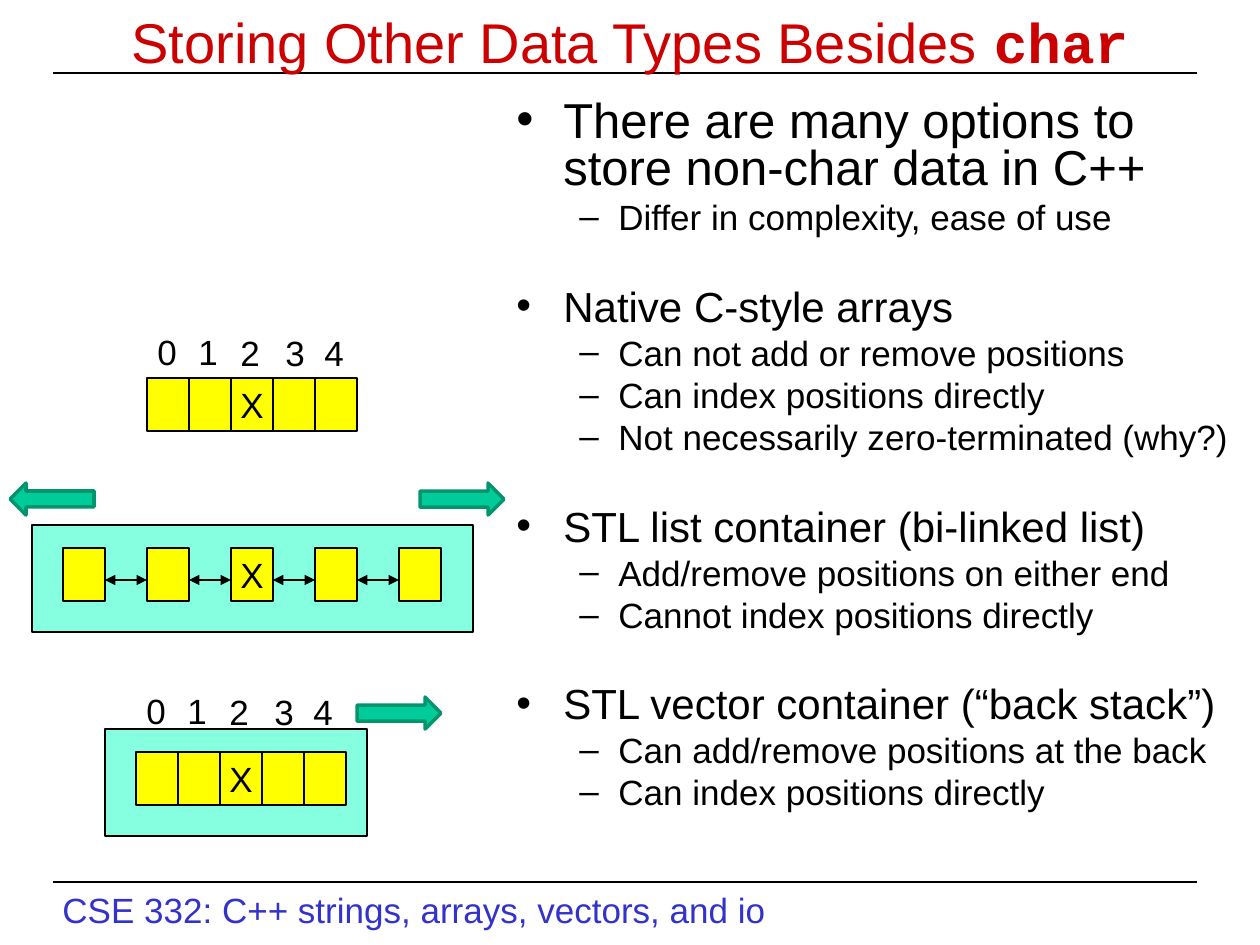
from lxml import etree
from pptx import Presentation
from pptx.dml.color import RGBColor
from pptx.enum.shapes import MSO_CONNECTOR, MSO_SHAPE
from pptx.enum.text import MSO_ANCHOR, MSO_AUTO_SIZE, PP_ALIGN
from pptx.oxml.ns import qn
from pptx.util import Pt

SCALE = 914400 / 126
WIDE, HIGH = 1260, 945
BLACK = RGBColor(0x00, 0x00, 0x00)
RED = RGBColor(0xCC, 0x00, 0x00)
BLUE = RGBColor(0x33, 0x33, 0xCC)
YELLOW = RGBColor(0xFF, 0xFF, 0x00)
MINT = RGBColor(0x85, 0xFF, 0xE0)
GREEN = RGBColor(0x00, 0xCC, 0x99)
DARK = RGBColor(0x00, 0x95, 0x6F)
RECT, ARROW = MSO_SHAPE.RECTANGLE, MSO_SHAPE.LEFT_ARROW
STRAIGHT = MSO_CONNECTOR.STRAIGHT
LEFT, CENTER = PP_ALIGN.LEFT, PP_ALIGN.CENTER
TOP, MIDDLE = MSO_ANCHOR.TOP, MSO_ANCHOR.MIDDLE
GROW = MSO_AUTO_SIZE.SHAPE_TO_FIT_TEXT

CELL_W, CELL_H = 42, 53
SHIFTS = [(-2, 0), (39, 0), (81, 1), (126, 1), (165, 1)]

# Heading, its size, space before it, and the points below it
TOPICS = [
    ("There are many options to store non-char data in C++", 28, 7,
     ["Differ in complexity, ease of use"]),
    ("Native C-style arrays", 24, 30,
     ["Can not add or remove positions", "Can index positions directly",
      "Not necessarily zero-terminated (why?)"]),
    ("STL list container (bi-linked list)", 24, 30,
     ["Add/remove positions on either end",
      "Cannot index positions directly"]),
    ("STL vector container (“back stack”)", 24, 30,
     ["Can add/remove positions at the back",
      "Can index positions directly"]),
]


def px(*nums):
    return [round(n * SCALE) for n in nums]


class Page:
    """Holds the style and the slide being drawn."""

    font, mono, size = "Arial", "Courier New", 20

    def __init__(self, slide):
        self.slide = slide
        self.shapes = slide.shapes

    def run(self, para, text, size=None, color=BLACK, font=None, bold=None):
        run = para.add_run()
        run.text = text
        run.font.size = Pt(size or self.size)
        run.font.name = font or self.font
        run.font.color.rgb = color
        run.font.bold = bold

    def text(self, x, y, w, h, runs=(), align=LEFT, anchor=TOP, wrap=False):
        """Each run is a tuple of arguments for run()."""
        frame = self.shapes.add_textbox(*px(x, y, w, h)).text_frame
        frame.word_wrap = wrap
        frame.vertical_anchor = anchor
        if not wrap:
            frame.auto_size = GROW
        para = frame.paragraphs[0]
        para.alignment = align
        for args in runs:
            self.run(para, *args)
        return frame

    def shape(self, kind, x, y, w, h, fill, edge=BLACK, width=0.75):
        shape = self.shapes.add_shape(kind, *px(x, y, w, h))
        shape.shadow.inherit = False
        shape.fill.solid()
        shape.fill.fore_color.rgb = fill
        shape.line.color.rgb = edge
        shape.line.width = Pt(width)
        return shape

    def line(self, x1, x2, y, heads=False):
        line = self.shapes.add_connector(STRAIGHT, *px(x1, y, x2, y))
        line.line.color.rgb = BLACK
        line.line.width = Pt(0.75)
        props = line.element.spPr
        if heads:
            edge = props.get_or_add_ln()
            for end in ("a:headEnd", "a:tailEnd"):
                etree.SubElement(edge, qn(end), type="triangle")
        etree.SubElement(props, qn("a:effectLst"))

    def arrow(self, x, y, turn=180):
        shape = self.shape(ARROW, x, y, 84, 32, GREEN, DARK, 2)
        shape.rotation = turn

    def cells(self, x, y, step=CELL_W):
        """Five cells, the middle one marked."""
        for i in range(5):
            cell = self.shape(RECT, x + i * step, y, CELL_W, CELL_H, YELLOW)
            if i == 2:
                frame = cell.text_frame
                frame.word_wrap = False
                frame.vertical_anchor = MIDDLE
                para = frame.paragraphs[0]
                para.alignment = CENTER
                self.run(para, "X")

    def digits(self, x, y):
        for i, (dx, dy) in enumerate(SHIFTS):
            self.text(x + dx, y + dy, 44, 55, [(str(i),)])

    def bullet(self, para, text, size, before, mark, left, hang):
        para.line_spacing = 0.8
        para.space_before = Pt(before)
        props = para._p.get_or_add_pPr()
        props.set("marL", str(px(left)[0]))
        props.set("indent", str(px(-hang)[0]))
        color = etree.SubElement(props, qn("a:buClr"))
        etree.SubElement(color, qn("a:srgbClr"), val=str(BLACK))
        etree.SubElement(props, qn("a:buFont"), typeface=self.font)
        etree.SubElement(props, qn("a:buChar"), char=mark)
        self.run(para, text, size)

    def topics(self, x, y, w, h):
        frame = self.text(x, y, w, h, wrap=True)
        para = frame.paragraphs[0]
        for head, size, before, points in TOPICS:
            if para is None:
                para = frame.add_paragraph()
            self.bullet(para, head, size, before, "•", 47, 47)
            for point in points:
                para = frame.add_paragraph()
                para.level = 1
                self.bullet(para, point, self.size, 5, "–", 102, 39)
            para = None


def main():
    deck = Presentation()
    deck.slide_width, deck.slide_height = px(WIDE, HIGH)
    page = Page(deck.slides.add_slide(deck.slide_layouts[6]))

    page.text(50, 882, 760, 55,
              [("CSE 332: C++ strings, arrays, vectors, and io", 20, BLUE)],
              wrap=True)
    for y in (882, 73):
        page.line(53, 1197, y)
    page.text(0, 10, WIDE, 63,
              [("Storing Other Data Types Besides ", 32, RED),
               ("char", 32, RED, page.mono, True)],
              CENTER, MIDDLE, True)
    page.topics(504, 95, 756, 777)

    # Native array
    page.cells(147, 378)
    page.digits(147, 324)

    # Linked list, open at both ends
    page.shape(RECT, 32, 525, 441, 107, MINT)
    page.cells(63, 548, 2 * CELL_W)
    for i in range(4):
        x = 63 + CELL_W + i * 2 * CELL_W
        page.line(x, x + CELL_W, 580, True)
    page.arrow(10, 483, 0)
    page.arrow(420, 483)

    # Vector, open at the back
    page.shape(RECT, 105, 729, 262, 107, MINT)
    page.cells(136, 752)
    page.arrow(357, 697)
    page.digits(136, 683)

    deck.save("out.pptx")


if __name__ == "__main__":
    main()
